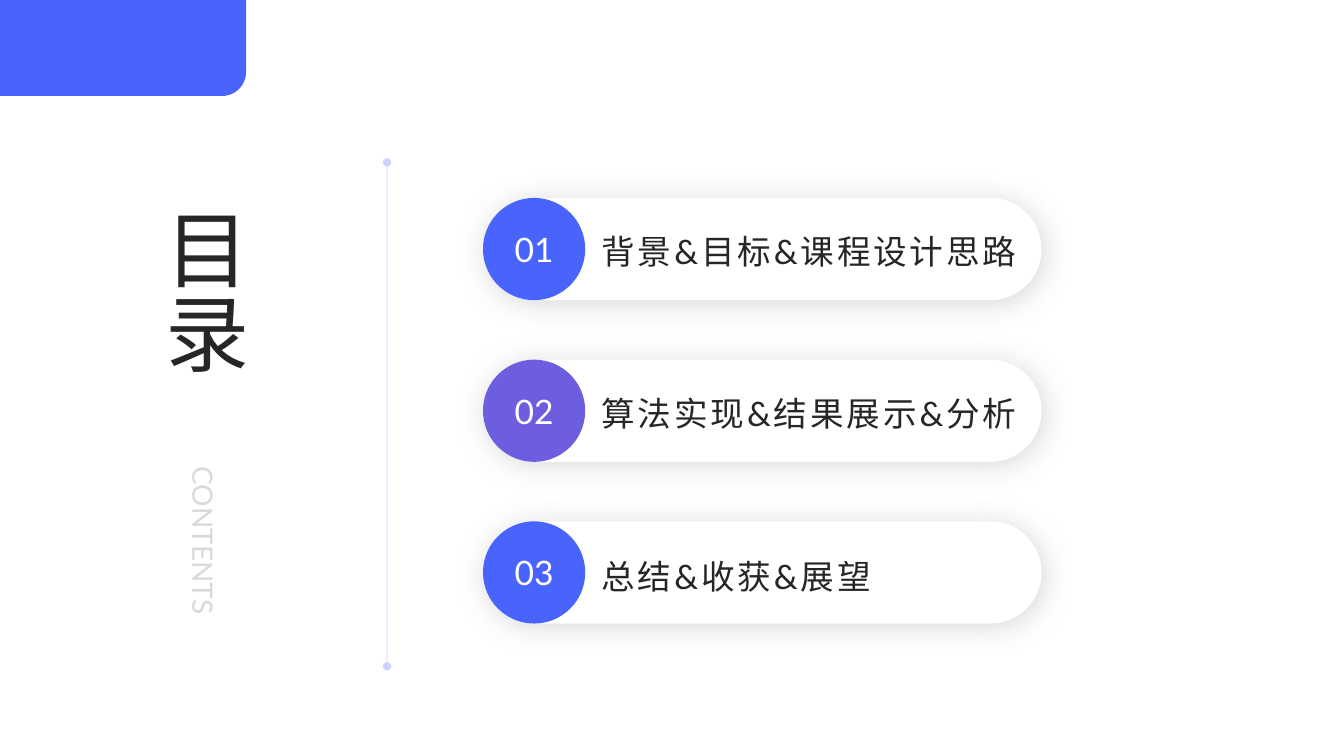
import pptx
import pptx.util
import pptx.dml.color
import pptx.enum.shapes
import pptx.enum.text
import pptx.oxml

Pt = pptx.util.Pt
KIND = pptx.enum.shapes.MSO_SHAPE
ALIGN = pptx.enum.text.PP_ALIGN
NS = 'xmlns:a="http://schemas.openxmlformats.org/drawingml/2006/main"'

# Content: number, label, disc colour, then label width, height,
# centre offset from the pill, and line spacing
ITEMS = [
    ("01", "背景&目标&课程设计思路", "blue", 332, 88, 3.2, 0.9),
    ("02", "算法实现&结果展示&分析", "violet", 322, 73, 1.4, 1.0),
    ("03", "总结&收获&展望", "blue", 302, 73, 2.2, 1.0),
]
# Vertical texts: wording, box, size, colour
HEADS = [
    ("目录", (92.2, 141.1, 108, 167), 60, "ink"),
    ("CONTENTS", (91.4, 326.2, 108, 153.4), 20, "pale"),
]
COLORS = {
    "blue": "4864FC", "violet": "6C5EDE", "white": "FFFFFF", "ink": "262626",
    "pale": "D9D9D9", "rule": "002AF9", "shade": "808080",
}
FONT = "Lato"
LEFT, TOP, WIDE, HIGH, STEP = 345, 141.4, 399, 73, 115.5
TEXT_X = 422.6


def color(name):
    return pptx.dml.color.RGBColor.from_string(COLORS[name])


def add_xml(node, text):
    node.append(pptx.oxml.parse_xml(text))


def add_form(kind, box, fill):
    form = slide.shapes.add_shape(kind, *map(Pt, box))
    form.shadow.inherit = False
    form.fill.solid()
    form.fill.fore_color.rgb = color(fill)
    form.line.fill.background()
    return form


def set_text(shape, text, size, tint, align=ALIGN.LEFT, pad=None):
    frame = shape.text_frame
    frame.text = text
    frame.word_wrap = True
    frame.vertical_anchor = pptx.enum.text.MSO_ANCHOR.MIDDLE
    if pad is not None:
        frame.margin_left = frame.margin_right = Pt(pad)
        frame.margin_top = frame.margin_bottom = 0
    para = frame.paragraphs[0]
    para.alignment = align
    font = para.runs[0].font
    font.name, font.size = FONT, Pt(size)
    font.color.rgb = color(tint)
    return para


def add_label(box, *style, **more):
    label = slide.shapes.add_textbox(*map(Pt, box))
    return label, set_text(label, *style, **more)


deck = pptx.Presentation()
deck.slide_width, deck.slide_height = Pt(960), Pt(540)
slide = deck.slides.add_slide(deck.slide_layouts[6])

# Divider with round ends
rule = slide.shapes.add_connector(
    pptx.enum.shapes.MSO_CONNECTOR.STRAIGHT, Pt(276.5), Pt(116), Pt(276.5), Pt(476))
rule.line.width = Pt(0.5)
rule.line.color.rgb = color("rule")
line = rule.line._get_or_add_ln()
add_xml(line.find(".//{*}srgbClr"), f'<a:alpha {NS} val="20000"/>')
for end in ("headEnd", "tailEnd"):
    add_xml(line, f'<a:{end} {NS} type="oval"/>')
add_xml(rule._element.spPr, f'<a:effectLst {NS}/>')

# Corner block, rounded at the lower right
block = add_form(KIND.ROUND_1_RECTANGLE, (0, 0, 175.8, 68.6), "blue")
block.adjustments[0] = 0.25
block._element.spPr.xfrm.set("flipV", "1")

# Vertical headings
for text, box, size, tint in HEADS:
    head, para = add_label(box, text, size, tint)
    head.text_frame._txBody.bodyPr.set("vert", "eaVert")

# Agenda rows
for row, (num, text, tint, wide, high, shift, space) in enumerate(ITEMS):
    top = TOP + row * STEP
    pill = add_form(KIND.ROUNDED_RECTANGLE, (LEFT, top, WIDE, HIGH), "white")
    pill.adjustments[0] = 0.5
    add_xml(pill._element.spPr.find("{*}effectLst"),
            f'<a:outerShdw {NS} blurRad="{Pt(20)}" dist="{Pt(3)}" dir="2700000" '
            f'algn="tl" rotWithShape="0"><a:srgbClr val="{COLORS["shade"]}">'
            '<a:alpha val="30000"/></a:srgbClr></a:outerShdw>')
    disc = add_form(KIND.OVAL, (LEFT, top, HIGH, HIGH), tint)
    set_text(disc, num, 24, "white", ALIGN.CENTER, 0)
    y = top + (HIGH - high) / 2 + shift
    label, para = add_label((TEXT_X, y, wide, high), text, 24, "ink", pad=7.2)
    para.line_spacing = space
    para.runs[0].font._element.set("spc", "200")

deck.save("out.pptx")
